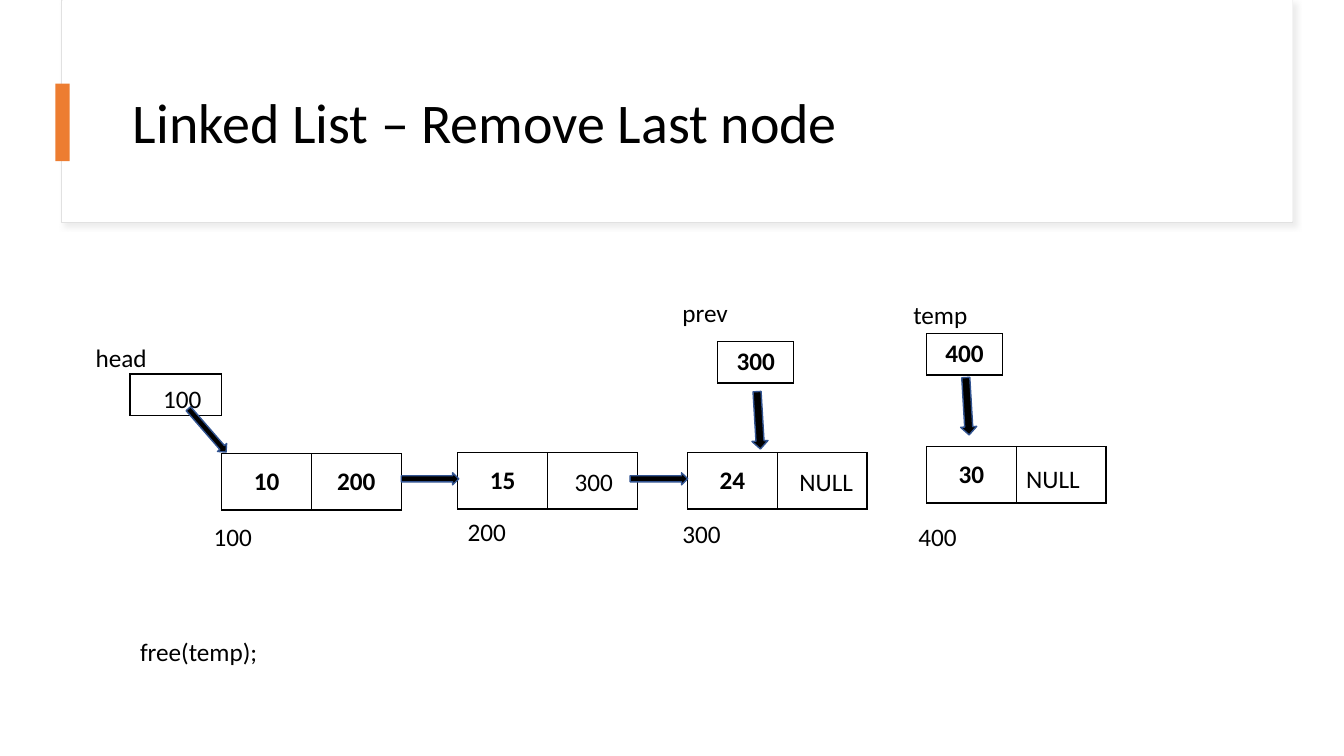
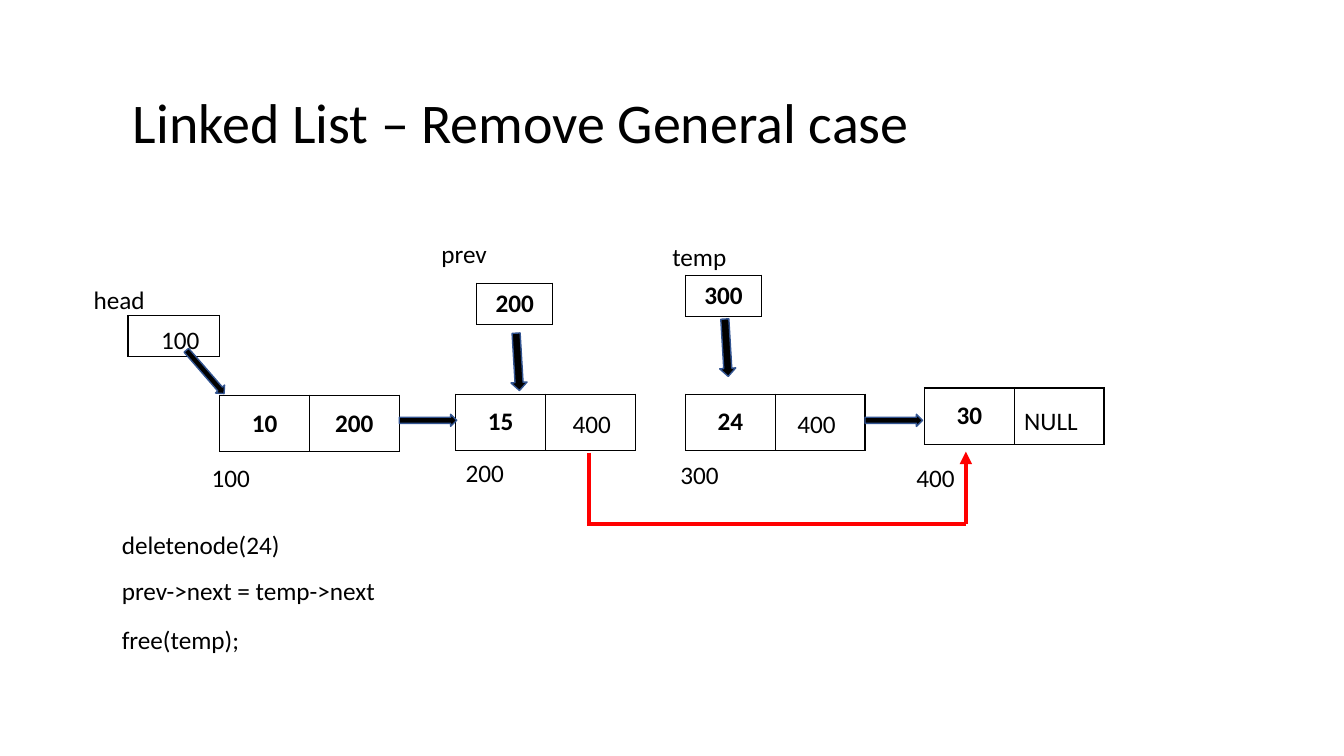
from lxml.etree import SubElement
from pptx import Presentation
from pptx.dml.color import RGBColor
from pptx.enum.shapes import MSO_CONNECTOR, MSO_SHAPE
from pptx.enum.text import MSO_ANCHOR, MSO_AUTO_SIZE, PP_ALIGN
from pptx.oxml import parse_xml
from pptx.oxml.ns import nsdecls, qn
from pptx.util import Inches, Pt

BLACK = RGBColor(0x00, 0x00, 0x00)
WHITE = RGBColor(0xFF, 0xFF, 0xFF)
ORANGE = RGBColor(0xED, 0x7D, 0x31)
PALE_GREY = RGBColor(0xE1, 0xE1, 0xE1)
ARROW_EDGE = RGBColor(0x32, 0x54, 0x91)
RED = RGBColor(0xFF, 0x00, 0x00)
FONT = "Calibri"
CELL_WIDTH, NODE_HEIGHT, POINTER_HEIGHT = 0.89, 0.56, 0.41
ADDRESS_WIDTH, NULL_WIDTH, LINE_HEIGHT = 0.59, 0.74, 0.4
SHADOW = (
    f'<a:effectLst {nsdecls("a")}><a:outerShdw blurRad="50800" dist="38100" '
    'dir="2700000" algn="tl" rotWithShape="0"><a:srgbClr val="D9D9D9">'
    '<a:alpha val="50000"/></a:srgbClr></a:outerShdw></a:effectLst>'
)


def write_text(frame, text, size=18, bold=False, align=PP_ALIGN.LEFT, spacing=None):
    """Put one formatted paragraph in a text frame."""
    para = frame.paragraphs[0]
    para.alignment = align
    para.line_spacing = spacing
    span = para.add_run()
    span.text = text
    span.font.name = FONT
    span.font.size = Pt(size)
    span.font.bold = bold
    span.font.color.rgb = BLACK


class ListDeck:
    """Linked list slides: shared style, current page and diagram offset."""

    def __init__(self):
        """Start an empty widescreen deck."""
        self.deck = Presentation()
        self.deck.slide_width = Inches(13.33)
        self.deck.slide_height = Inches(7.5)
        self.page = None
        self.offset = (0, 0)

    def new_page(self, offset=(0, 0)):
        """Add a blank page whose diagram is moved by offset."""
        self.page = self.deck.slides.add_slide(self.deck.slide_layouts[6])
        self.offset = offset

    def place(self, left, top):
        """Return a diagram point as lengths on the page."""
        return Inches(left + self.offset[0]), Inches(top + self.offset[1])

    def title(self, text):
        """Write the page title."""
        box = self.page.shapes.add_textbox(
            Inches(1.22), Inches(0.6), Inches(11.12), Inches(1.29))
        box.text_frame.word_wrap = True
        box.text_frame.vertical_anchor = MSO_ANCHOR.MIDDLE
        write_text(box.text_frame, text, size=40, spacing=0.9)

    def shape(self, kind, left, top, width, height, fill, line=None, weight=1):
        """Draw a filled preset shape without shadow."""
        shape = self.page.shapes.add_shape(
            kind, *self.place(left, top), Inches(width), Inches(height))
        shape.shadow.inherit = False
        shape.fill.solid()
        shape.fill.fore_color.rgb = fill
        if line is None:
            shape.line.fill.background()
        else:
            shape.line.color.rgb = line
            shape.line.width = Pt(weight)
        return shape

    def title_card(self):
        """Draw the shadowed card and its accent behind the title."""
        card = self.shape(MSO_SHAPE.RECTANGLE, 0.61, 0, 12.21, 2.21, WHITE, PALE_GREY, 0.75)
        properties = card._element.spPr
        properties.replace(properties.find(qn("a:effectLst")), parse_xml(SHADOW))
        self.shape(MSO_SHAPE.RECTANGLE, 0.62, 0, 12.2, 2.2, WHITE)
        self.shape(MSO_SHAPE.RECTANGLE, 0.55, 0.83, 0.14, 0.77, ORANGE)

    def label(self, text, left, top, width, wrap=False):
        """Write one line of plain text."""
        box = self.page.shapes.add_textbox(
            *self.place(left, top), Inches(width), Inches(LINE_HEIGHT))
        box.text_frame.word_wrap = wrap
        box.text_frame.auto_size = MSO_AUTO_SIZE.SHAPE_TO_FIT_TEXT
        write_text(box.text_frame, text)

    def arrow(self, left, top, thickness=0.12, turn=0):
        """Draw a block arrow, turned clockwise by degrees."""
        arrow = self.shape(MSO_SHAPE.RIGHT_ARROW, left, top, 0.57, thickness, BLACK, ARROW_EDGE)
        arrow.rotation = turn

    def cells(self, values, left, top, width, height, anchor=MSO_ANCHOR.MIDDLE):
        """Draw a one-row table of bordered cells."""
        table = self.page.shapes.add_table(
            1, len(values), *self.place(left, top),
            Inches(width * len(values)), Inches(height)).table
        table.first_row = table.horz_banding = False
        for column, value in enumerate(values):
            table.columns[column].width = Inches(width)
            cell = table.cell(0, column)
            cell.vertical_anchor = anchor
            self.cell_border(cell)
            cell.fill.solid()
            cell.fill.fore_color.rgb = WHITE
            if value:
                write_text(cell.text_frame, value, bold=True, align=PP_ALIGN.CENTER)

    def cell_border(self, cell):
        """Give a cell a black edge on all sides."""
        properties = cell._tc.get_or_add_tcPr()
        for side in ("a:lnL", "a:lnR", "a:lnT", "a:lnB"):
            edge = SubElement(properties, qn(side), w=str(Pt(1)))
            fill = SubElement(edge, qn("a:solidFill"))
            SubElement(fill, qn("a:srgbClr"), val=str(BLACK))

    def node(self, value, left, top, link=""):
        """Draw a list node with its value and link cells."""
        self.cells([value, link], left, top, CELL_WIDTH, NODE_HEIGHT)

    def pointer(self, name, value, left, top, name_shift, arrow_drop):
        """Draw a named pointer cell with an arrow downwards."""
        self.cells([value], left, top, 0.75, POINTER_HEIGHT, MSO_ANCHOR.TOP)
        self.label(name, left + name_shift[0], top + name_shift[1], 0.8, wrap=True)
        self.arrow(left + 0.12, top + arrow_drop, thickness=0.16, turn=86.6)

    def prev_and_temp(self, prev, prev_left, temp, temp_left):
        """Draw the two walking pointers."""
        self.pointer("temp", temp, temp_left, 3.31, (-0.23, -0.39), 0.64)
        self.pointer("prev", prev, prev_left, 3.39, (-0.45, -0.49), 0.7)

    def linked_list(self, second_link, third_link, third_link_width):
        """Draw head, the four nodes, their addresses and links."""
        self.node("10", 2.2, 4.5, link="200")
        self.node("15", 4.54, 4.49)
        self.node("24", 6.82, 4.49)
        self.node("30", 9.19, 4.43)
        self.cells([""], 1.29, 3.71, 0.91, POINTER_HEIGHT)
        self.label("head", 0.85, 3.35, 0.72)
        self.arrow(3.98, 4.69)
        self.arrow(1.77, 4.21, turn=49)
        self.label("100", 1.52, 3.75, ADDRESS_WIDTH)
        for address, left, top in (("100", 2.02, 5.12), ("200", 4.54, 5.07),
                                   ("300", 6.67, 5.09), ("400", 9.01, 5.12)):
            self.label(address, left, top, ADDRESS_WIDTH)
        self.label(second_link, 5.6, 4.58, ADDRESS_WIDTH)
        self.label(third_link, 7.83, 4.58, third_link_width)
        self.label("NULL", 10.08, 4.55, NULL_WIDTH)

    def red_line(self, start, end, head=False):
        """Draw a red line between page points, with an optional arrowhead."""
        line = self.page.shapes.add_connector(
            MSO_CONNECTOR.STRAIGHT, *map(Inches, start + end))
        line.line.color.rgb = RED
        line.line.width = Pt(3)
        if head:
            SubElement(line.line._get_or_add_ln(), qn("a:tailEnd"), type="triangle")
        SubElement(line._element.spPr, qn("a:effectLst"))


def remove_last(show):
    """Build the page on removing the last node."""
    show.new_page()
    show.title_card()
    show.title("Linked List – Remove Last node")
    show.linked_list("300", "NULL", NULL_WIDTH)
    show.arrow(6.25, 4.69)
    show.prev_and_temp("300", 7.12, "400", 9.19)
    show.label("free(temp);", 1.29, 6.26, 1.38)


def remove_general(show):
    """Build the page on removing a node in the middle."""
    show.new_page(offset=(-0.02, -0.58))
    show.title("Linked List – Remove General case")
    show.linked_list("400", "400", ADDRESS_WIDTH)
    show.arrow(8.6, 4.69)
    show.prev_and_temp("200", 4.75, "300", 6.82)
    for code, top, width in (("deletenode(24)", 5.78, 1.79),
                             ("prev->next = temp->next", 6.24, 2.75),
                             ("free(temp);", 6.72, 1.38)):
        show.label(code, 1.13, top, width)
    show.red_line((5.84, 4.49), (5.84, 5.2))
    show.red_line((5.82, 5.2), (9.58, 5.2))
    show.red_line((9.58, 5.2), (9.58, 4.48), head=True)


show = ListDeck()
remove_last(show)
remove_general(show)
show.deck.save("out.pptx")
